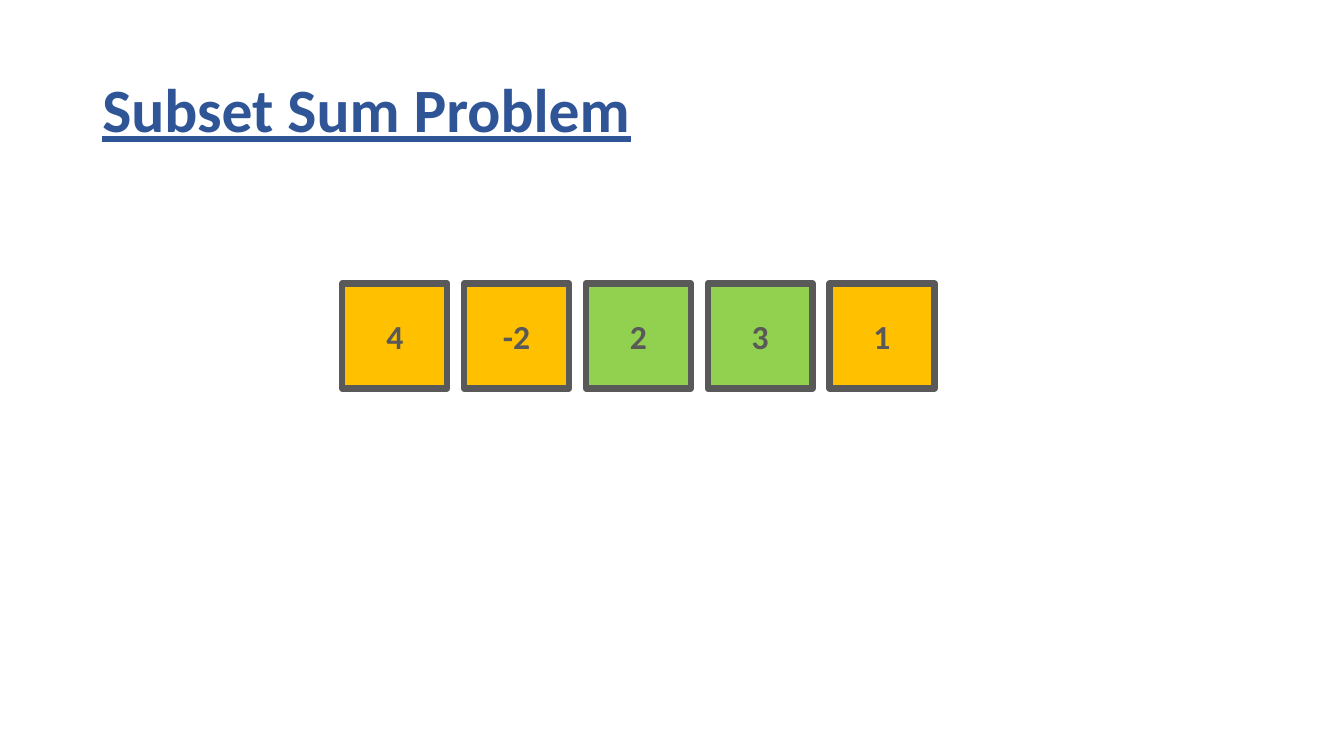
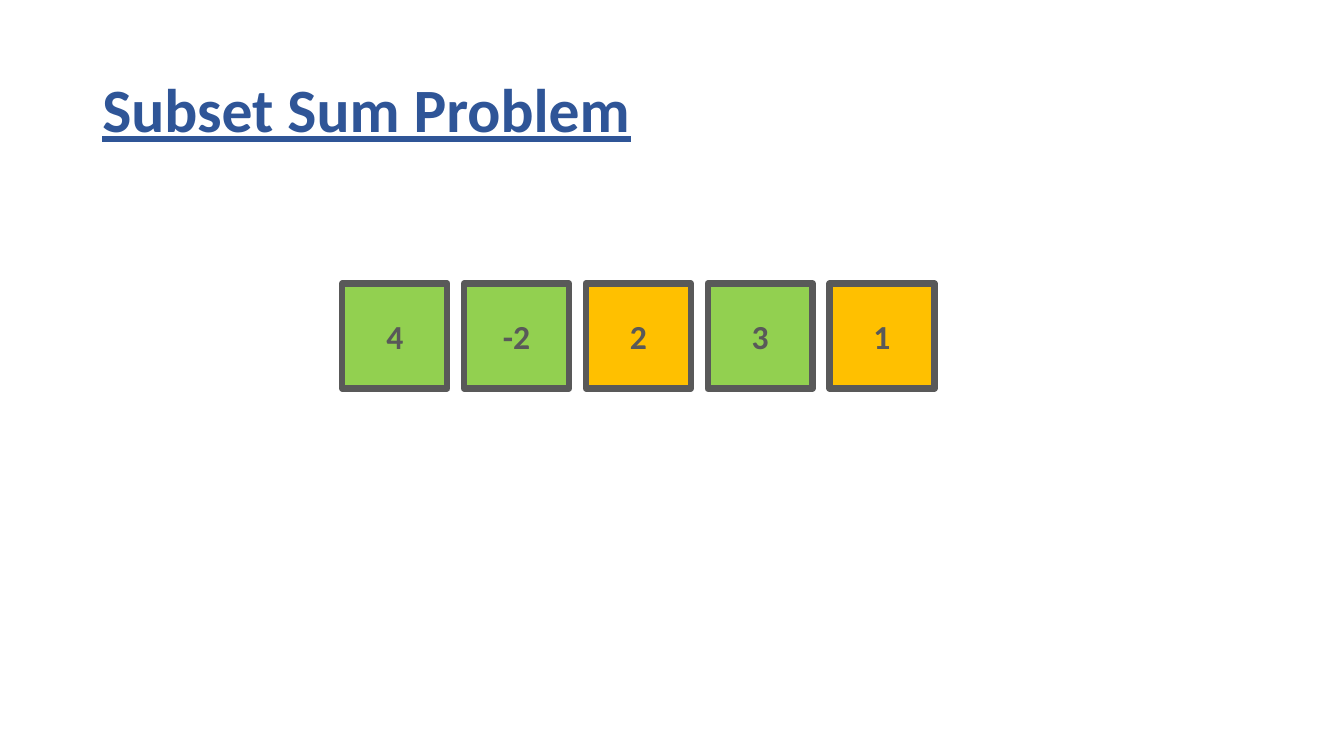
from dataclasses import dataclass

from pptx import Presentation
from pptx.dml.color import RGBColor
from pptx.enum.shapes import MSO_SHAPE
from pptx.enum.text import MSO_ANCHOR, PP_ALIGN
from pptx.slide import Slide
from pptx.text.text import TextFrame
from pptx.util import Emu, Pt

SCALE = 9525
FONT = "Calibri"
BLUE = "2F5597"
GREY = "595959"
GOLD = "FFC000"
GREEN = "92D050"
TITLE = "Subset Sum Problem"
NUMBERS = (4, -2, 2, 3, 1)
LEFT, TOP, SIDE, GAP = 326, 270, 100, 16


@dataclass(frozen=True)
class Cell:
    label: str
    left: int
    fill: str


def px(count: int) -> Emu:
    return Emu(count * SCALE)


def color(code: str) -> RGBColor:
    return RGBColor.from_string(code)


def write(frame: TextFrame, text: str, size: int, ink: str,
          align: PP_ALIGN, under: bool = False) -> None:
    frame.word_wrap = True
    frame.vertical_anchor = MSO_ANCHOR.MIDDLE
    line = frame.paragraphs[0]
    line.alignment = align
    run = line.add_run()
    run.text = text
    font = run.font
    font.name = FONT
    font.size = Pt(size)
    font.bold = True
    font.underline = under
    font.color.rgb = color(ink)


def add_title(slide: Slide) -> None:
    box = slide.shapes.add_textbox(px(88), px(38), px(1104), px(139))
    write(box.text_frame, TITLE, 44, BLUE, PP_ALIGN.LEFT, under=True)
    box.text_frame.paragraphs[0].line_spacing = 0.9


def add_cell(slide: Slide, cell: Cell) -> None:
    box = slide.shapes.add_shape(
        MSO_SHAPE.RECTANGLE, px(cell.left), px(TOP), px(SIDE), px(SIDE))
    box.shadow.inherit = False
    box.fill.solid()
    box.fill.fore_color.rgb = color(cell.fill)
    box.line.color.rgb = color(GREY)
    box.line.width = Pt(4.5)
    write(box.text_frame, cell.label, 24, GREY, PP_ALIGN.CENTER)


def row(subset: set[int]) -> list[Cell]:
    return [
        Cell(str(number), LEFT + index * (SIDE + GAP),
             GREEN if number in subset else GOLD)
        for index, number in enumerate(NUMBERS)
    ]


def main() -> None:
    deck = Presentation()
    deck.slide_width = px(1280)
    deck.slide_height = px(720)
    for subset in ({2, 3}, {4, -2, 3}):
        slide = deck.slides.add_slide(deck.slide_layouts[6])
        add_title(slide)
        for cell in row(subset):
            add_cell(slide, cell)
    deck.save("out.pptx")


if __name__ == "__main__":
    main()
